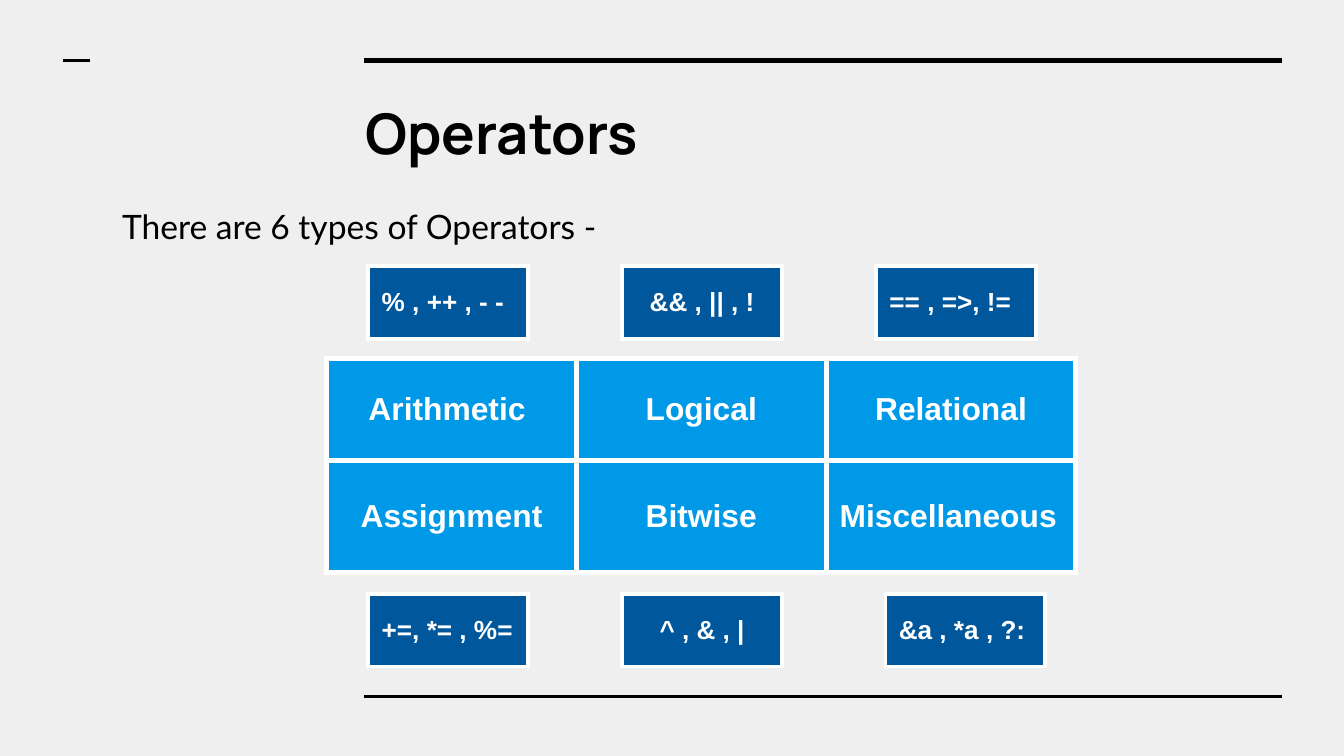
from lxml import etree
from pptx import Presentation
from pptx import util as u
from pptx.dml.color import RGBColor
from pptx.enum import shapes, text
from pptx.oxml import ns

COLORS = {"page": "EFEFEF", "ink": "000000", "white": "FFFFFF",
          "type": "0099E8", "symbols": "01579B"}
LEFT, CENTER = text.PP_ALIGN.LEFT, text.PP_ALIGN.CENTER

HEADING = ("Operators", 188.6, 45.4, 497.5, 49.7, "Manrope", 30, True)
INTRO = ("There are 6 types of Operators -", 58.3, 100, 275, 38.9, "Lato", 18, False)
RULES = [(195.1, 686.9, 32.4, 3), (195.1, 686.9, 373, 1.5), (33.8, 48.2, 32.4, 1.5)]

OPERATOR_TYPES = [
    [("Arithmetic ", CENTER), ("Logical", CENTER), ("Relational", CENTER)],
    [("Assignment", CENTER), ("Bitwise", CENTER), ("Miscellaneous", LEFT)],
]
SYMBOLS = [
    (142.6, [("% , ++ , - -", LEFT, 0), ("&& , || , !", CENTER, 0), ("== , =>, !=", LEFT, 0)]),
    (318.2, [("+=, *= , %=", LEFT, 0), ("^ , & , |", CENTER, 0), ("&a , *a , ?:", LEFT, 5)]),
]
TYPES_LEFT, TYPES_TOP, TYPE_WIDTH, TYPE_HEIGHTS = 175, 192.2, 133.8, [54.7, 59.8]
SYMBOLS_LEFT, SYMBOLS_PITCH, SYMBOLS_WIDTH, SYMBOLS_HEIGHT = 197.3, 136, 85.7, 38.9
INSET = u.Pt(7.2)


def rgb(name):
    return RGBColor.from_string(COLORS[name])


def set_font(paragraph, face, size, bold, color):
    font = paragraph.font
    font.name, font.size, font.bold = face, u.Pt(size), bold
    font.color.rgb = rgb(color)


def set_insets(holder):
    holder.margin_left = holder.margin_right = INSET
    holder.margin_top = holder.margin_bottom = INSET


def add_rule(slide, start, end, y, weight):
    rule = slide.shapes.add_connector(
        shapes.MSO_CONNECTOR.STRAIGHT, u.Pt(start), u.Pt(y), u.Pt(end), u.Pt(y))
    rule.line.color.rgb = rgb("ink")
    rule.line.width = u.Pt(weight)
    etree.SubElement(rule._element.spPr, ns.qn("a:effectLst"))


def add_text(slide, wording, left, top, width, height, face, size, bold):
    frame = slide.shapes.add_textbox(u.Pt(left), u.Pt(top), u.Pt(width), u.Pt(height)).text_frame
    frame.word_wrap = True
    set_insets(frame)
    paragraph = frame.paragraphs[0]
    paragraph.text = wording
    set_font(paragraph, face, size, bold, "ink")
    return paragraph


def add_borders(cell, weight):
    properties = cell._tc.get_or_add_tcPr()
    for side in ("lnL", "lnR", "lnT", "lnB"):
        border = etree.SubElement(properties, ns.qn(f"a:{side}"), w=str(u.Pt(weight)))
        fill = etree.SubElement(border, ns.qn("a:solidFill"))
        etree.SubElement(fill, ns.qn("a:srgbClr"), val=COLORS["white"])


def add_grid(slide, rows, left, top, column_width, heights, size, color, weight):
    columns = len(rows[0])
    grid = slide.shapes.add_table(
        len(rows), columns, u.Pt(left), u.Pt(top),
        u.Pt(column_width * columns), u.Pt(sum(heights))).table
    grid.first_row = grid.horz_banding = False
    for column in grid.columns:
        column.width = u.Pt(column_width)
    for r, (entries, height) in enumerate(zip(rows, heights)):
        grid.rows[r].height = u.Pt(height)
        for c, (wording, alignment) in enumerate(entries):
            cell = grid.cell(r, c)
            add_borders(cell, weight)
            cell.fill.solid()
            cell.fill.fore_color.rgb = rgb(color)
            cell.vertical_anchor = text.MSO_ANCHOR.MIDDLE
            set_insets(cell)
            paragraph = cell.text_frame.paragraphs[0]
            paragraph.text = wording
            paragraph.alignment = alignment
            set_font(paragraph, "Arial", size, True, "white")


def main():
    deck = Presentation()
    deck.slide_width, deck.slide_height = u.Pt(720), u.Pt(405)
    slide = deck.slides.add_slide(deck.slide_layouts[6])
    slide.background.fill.solid()
    slide.background.fill.fore_color.rgb = rgb("page")

    for rule in RULES:
        add_rule(slide, *rule)
    add_text(slide, *HEADING)
    intro = add_text(slide, *INTRO)
    intro.line_spacing = 1.15
    intro.space_after = u.Pt(16)

    add_grid(slide, OPERATOR_TYPES, TYPES_LEFT, TYPES_TOP, TYPE_WIDTH, TYPE_HEIGHTS,
             17, "type", 3)
    for top, examples in SYMBOLS:
        for i, (wording, alignment, shift) in enumerate(examples):
            add_grid(slide, [[(wording, alignment)]], SYMBOLS_LEFT + i * SYMBOLS_PITCH + shift,
                     top, SYMBOLS_WIDTH, [SYMBOLS_HEIGHT], 14, "symbols", 2.25)

    deck.save("out.pptx")


if __name__ == "__main__":
    main()
